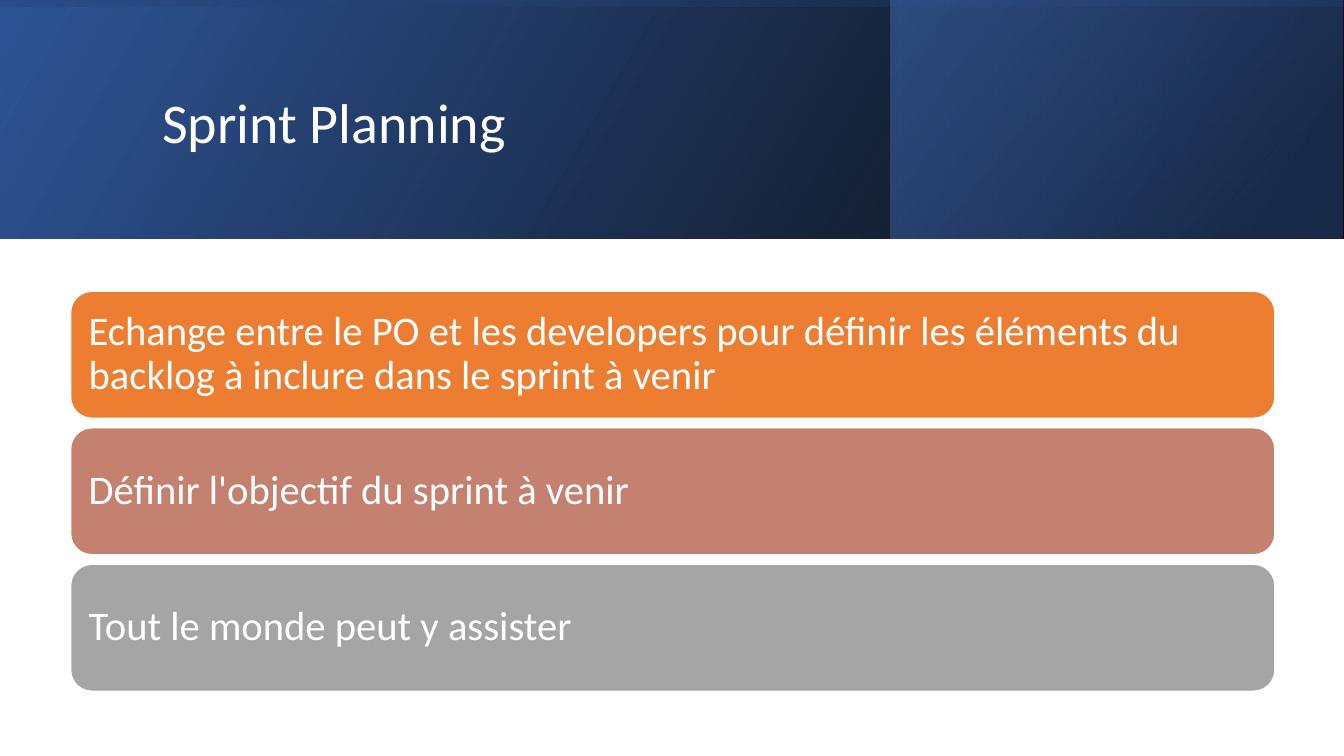
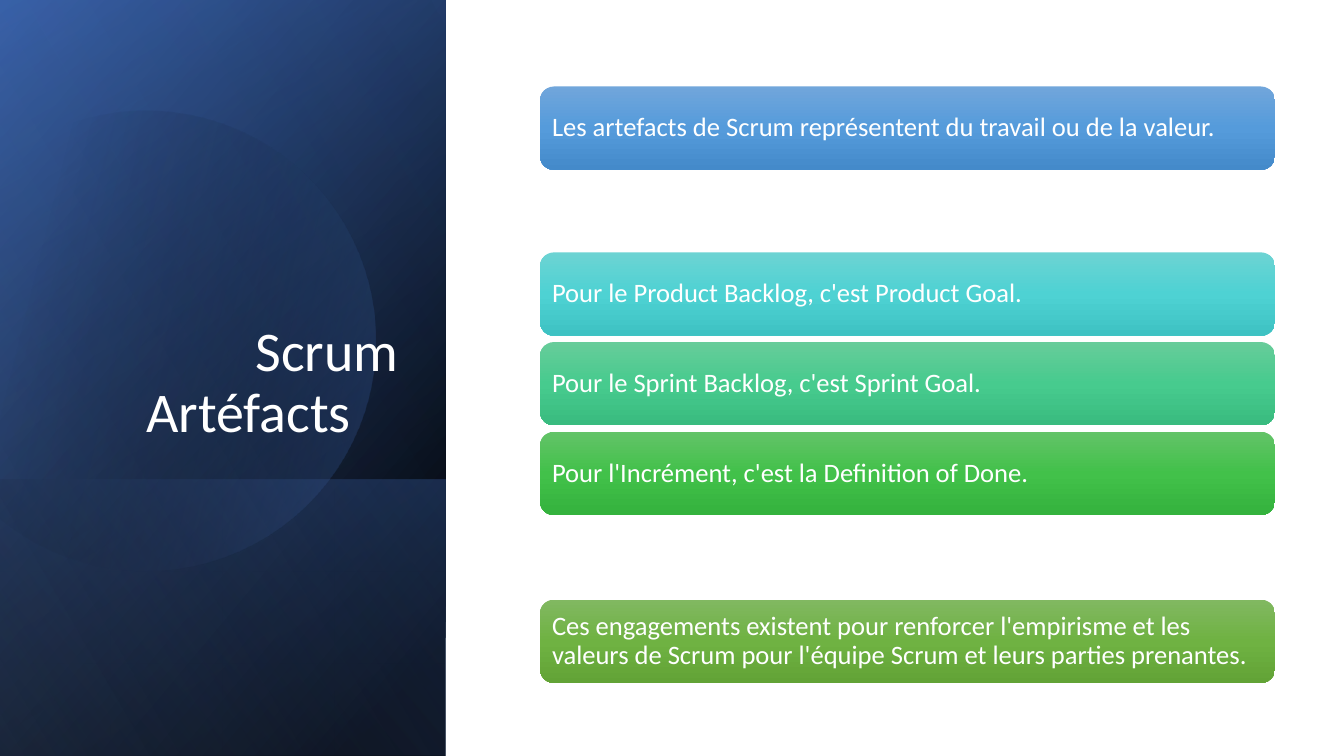
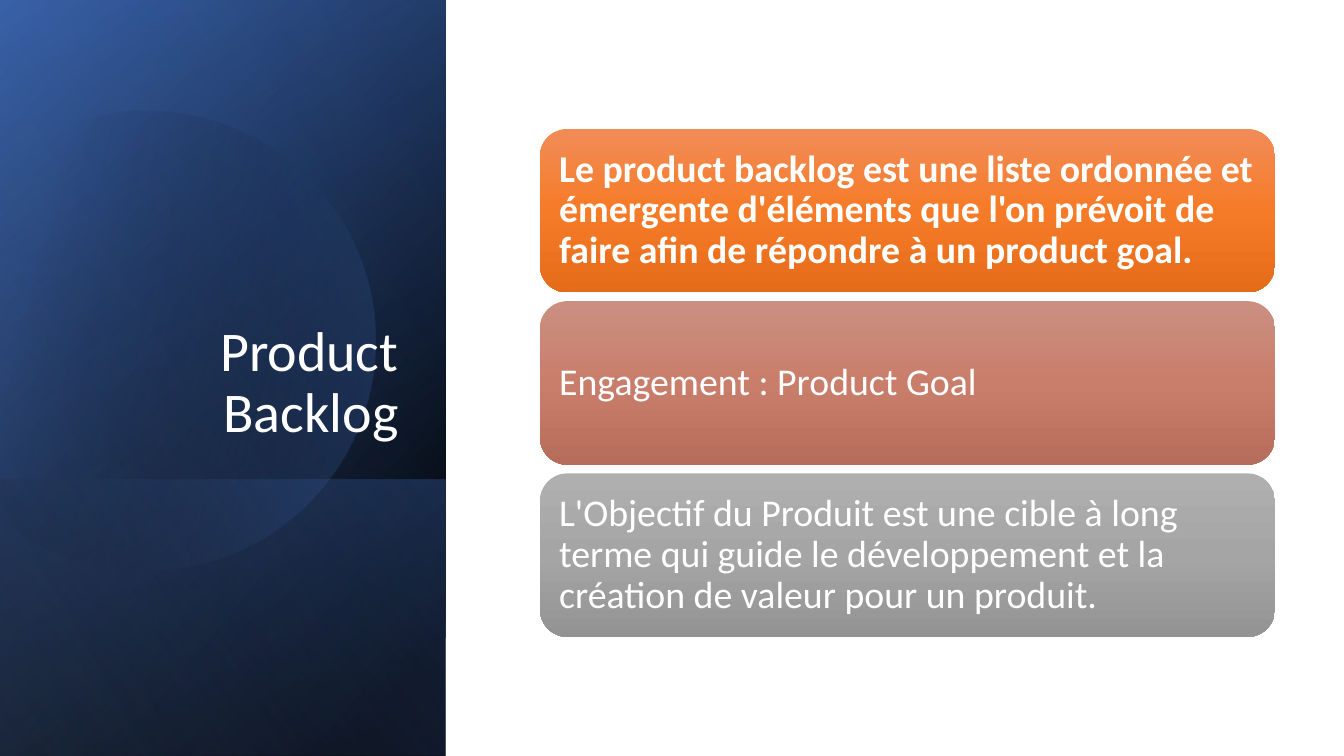
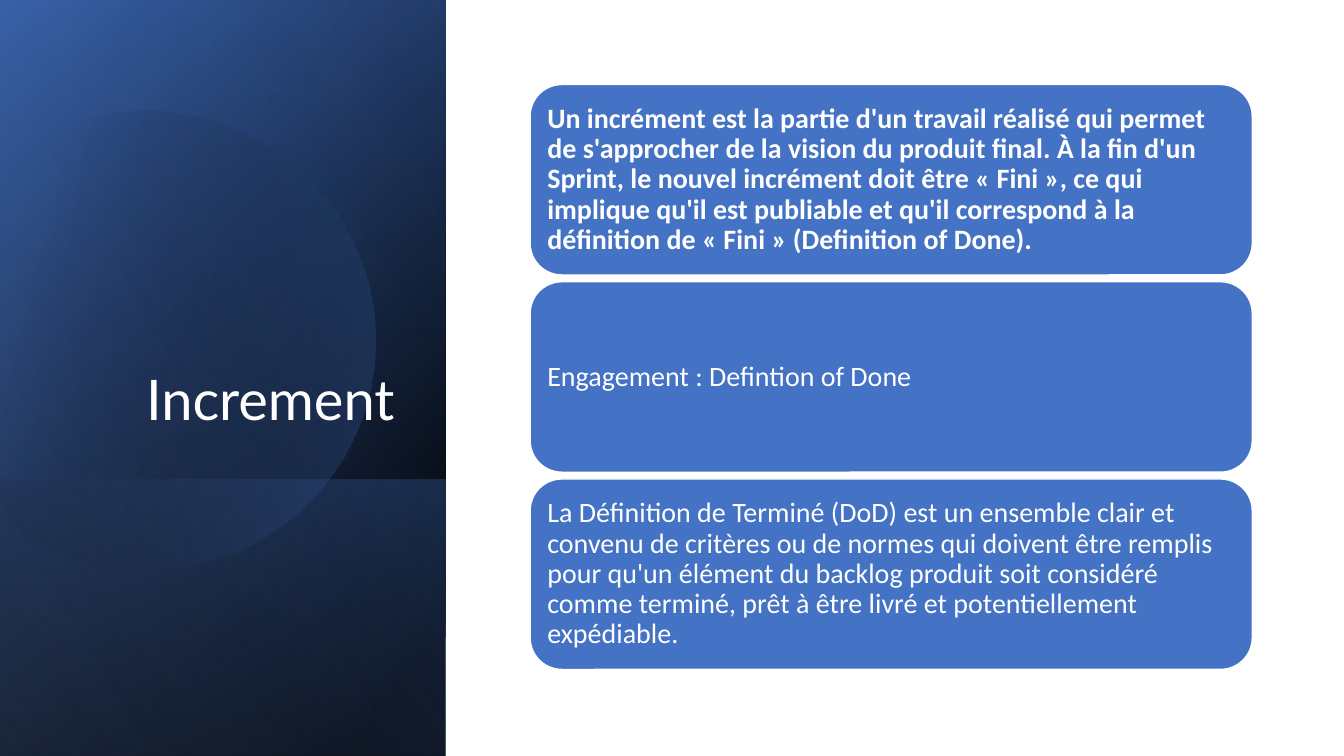
import math

from lxml import etree
from pptx import Presentation
from pptx.dml.color import RGBColor
from pptx.enum import shapes, text
from pptx.oxml import ns
from pptx.util import Cm, Pt

WHITE, BLACK = "FFFFFF", "000000"
NAVY, DEEP, BLUE, PALE = "203864", "2F5597", "4472C4", "8FAADC"
ORANGE, CLAY, GREY = "ED7D31", "C48170", "A5A5A5"
WIDTH, HEIGHT = 33.87, 19.05
HEADER_HEIGHT, PANEL_WIDTH, FOOT_HEIGHT = 6.02, 11.23, 6.96


def paint(shape, fill, angle=90, outline=None):
    """Fill with one hex colour, or with (position, hex, opacity) stops; angle runs clockwise."""
    shape.shadow.inherit = False
    if isinstance(fill, str):
        shape.fill.solid()
        shape.fill.fore_color.rgb = RGBColor.from_string(fill)
    else:
        shape.fill.gradient()
        shape.fill.gradient_angle = 360 - angle
        stops = next(shape.element.iter(ns.qn("a:gsLst")))
        stops.clear()
        for position, colour, opacity in fill:
            stop = etree.SubElement(stops, ns.qn("a:gs"), pos=str(position * 1000))
            tint = etree.SubElement(stop, ns.qn("a:srgbClr"), val=colour)
            if opacity < 100:
                etree.SubElement(tint, ns.qn("a:alpha"), val=str(opacity * 1000))
    if outline:
        shape.line.color.rgb = RGBColor.from_string(outline)
        shape.line.width = Pt(1)
    else:
        shape.line.fill.background()


def write(box, words, size=40, font="Calibri", bold=False, inset=None,
          align=text.PP_ALIGN.LEFT, anchor=text.MSO_ANCHOR.MIDDLE):
    frame = box.text_frame
    frame.word_wrap = True
    frame.vertical_anchor = anchor
    if inset is not None:
        frame.margin_left = frame.margin_right = Cm(inset)
        frame.margin_top = frame.margin_bottom = Cm(inset)
    para = frame.paragraphs[0]
    para.alignment = align
    para.line_spacing = 0.9
    span = para.add_run()
    span.text = words
    span.font.size = Pt(size)
    span.font.name = font
    span.font.bold = bold
    span.font.color.rgb = RGBColor.from_string(WHITE)


# Bands: centre x, centre y, width and height before turning, turn, gradient angle, stops
header = [
    (WIDTH / 2, HEADER_HEIGHT / 2, WIDTH, HEADER_HEIGHT, 0, 330,
     [(0, BLACK, 96), (100, DEEP, 100)]),
    (28.14, HEADER_HEIGHT / 2, 11.38, HEADER_HEIGHT, 0, 320,
     [(19, NAVY, 68), (100, BLUE, 48)]),
    (WIDTH / 2, HEADER_HEIGHT / 2, HEADER_HEIGHT, WIDTH, 270, 350,
     [(23, DEEP, 16), (99, BLACK, 45)]),
]
middle = (PANEL_WIDTH / 2, HEIGHT / 2, HEIGHT, PANEL_WIDTH, 90)
under_disc = [
    (*middle, 50, [(8, BLACK, 100), (100, DEEP, 100)]),
    (*middle, 30, [(0, BLACK, 0), (99, BLUE, 46)]),
    (PANEL_WIDTH / 2, HEIGHT - FOOT_HEIGHT / 2, FOOT_HEIGHT, PANEL_WIDTH, 90, 130,
     [(2, BLUE, 29), (100, BLACK, 30)]),
]
over_disc = [(*middle, 120, [(0, BLACK, 0), (99, PALE, 11)])]

# Disc cut by a chord at its left
DISC_X, DISC_Y, DISC_RADIUS, DISC_TURN = 3.65, 8.48, 5.8, -16.1
rim = [(Cm(DISC_X + DISC_RADIUS * math.cos(math.radians(degree))),
        Cm(DISC_Y + DISC_RADIUS * math.sin(math.radians(degree))))
       for degree in range(242, 511, 4)]

side_title = dict(box=(1.63, 4.67, 8.66, 6.65), align=text.PP_ALIGN.RIGHT,
                  anchor=text.MSO_ANCHOR.BOTTOM)
pages = [
    dict(
        title="Sprint Planning", title_style=dict(box=(3.84, 0.97, 27, 4.37)),
        bands=[header],
        left=1.78, width=30.35, height=3.2, tops=[7.34 + 3.44 * row for row in range(3)],
        size=29, inset=0.3, outline=WHITE, bold_first=False,
        cards=[
            ("Echange entre le PO et les developers pour définir les éléments du backlog "
             "à inclure dans le sprint à venir", ORANGE),
            ("Définir l'objectif du sprint à venir", CLAY),
            ("Tout le monde peut y assister", GREY),
        ]),
    dict(
        title="Scrum Artéfacts\t", title_style=side_title,
        bands=[under_disc, over_disc],
        left=13.61, width=18.52, height=2.1, tops=[2.18, 6.36, 8.62, 10.88, 15.11],
        size=19, inset=0.2, outline=None, bold_first=False,
        cards=[
            ("Les artefacts de Scrum représentent du travail ou de la valeur.",
             ("71A6DB", "559BDB", "448ACA")),
            ("Pour le Product Backlog, c'est Product Goal.", ("6CD3D3", "4ED2D3", "3EC2C3")),
            ("Pour le Sprint Backlog, c'est Sprint Goal.", ("67CC9A", "47CB8E", "39BB7F")),
            ("Pour l'Incrément, c'est la Definition of Done.", ("63C368", "42C14A", "34B23D")),
            ("Ces engagements existent pour renforcer l'empirisme et les valeurs de Scrum "
             "pour l'équipe Scrum et leurs parties prenantes.", ("81B861", "6FB242", "62A336")),
        ]),
    dict(
        title="Product Backlog", title_style=side_title,
        bands=[under_disc, over_disc],
        left=13.61, width=18.52, height=4.12, tops=[3.25 + 4.34 * row for row in range(3)],
        size=27, inset=0.28, outline=None, bold_first=True,
        cards=[
            ("Le product backlog est une liste ordonnée et émergente d'éléments que l'on "
             "prévoit de faire afin de répondre à un product goal.",
             ("F18C57", "F67B28", "E56C19")),
            ("Engagement : Product Goal", ("CB8F81", "C97E6B", "B76D5B")),
            ("L'Objectif du Produit est une cible à long terme qui guide le développement "
             "et la création de valeur pour un produit.", ("AFAFAF", "A5A5A5", "939393")),
        ]),
    dict(
        title="Increment",
        title_style=dict(side_title, box=(1.3, 1.63, 8.89, 9.4), font="Lato"),
        bands=[under_disc, over_disc],
        left=13.36, width=18.2, height=4.8, tops=[2.13 + 4.97 * row for row in range(3)],
        size=20, inset=0.2, outline=WHITE, bold_first=True,
        cards=[
            ("Un incrément est la partie d'un travail réalisé qui permet de s'approcher de la "
             "vision du produit final. À la fin d'un Sprint, le nouvel incrément doit être "
             "« Fini », ce qui implique qu'il est publiable et qu'il correspond à la définition "
             "de « Fini » (Definition of Done).", BLUE),
            ("Engagement : Defintion of Done", BLUE),
            ("La Définition de Terminé (DoD) est un ensemble clair et convenu de critères ou de "
             "normes qui doivent être remplis pour qu'un élément du backlog produit soit "
             "considéré comme terminé, prêt à être livré et potentiellement expédiable.", BLUE),
        ]),
]

deck = Presentation()
deck.slide_width, deck.slide_height = Cm(WIDTH), Cm(HEIGHT)

for content in pages:
    page = deck.slides.add_slide(deck.slide_layouts[6])

    for layer, bands in enumerate(content["bands"]):
        if layer == 1:
            builder = page.shapes.build_freeform(*rim[0])
            builder.add_line_segments(rim[1:], close=True)
            disc = builder.convert_to_shape()
            disc.rotation = DISC_TURN
            paint(disc, [(29, BLACK, 0), (100, BLUE, 43)], angle=30)
        for x, y, width, height, turn, angle, stops in bands:
            band = page.shapes.add_shape(
                shapes.MSO_SHAPE.RECTANGLE,
                Cm(x - width / 2), Cm(y - height / 2), Cm(width), Cm(height))
            band.rotation = turn
            band.element.spPr.find(ns.qn("a:xfrm")).set("flipH", "1")
            paint(band, stops, angle=angle)

    style = dict(content["title_style"])
    title = page.shapes.add_textbox(*map(Cm, style.pop("box")))
    write(title, content["title"], **style)

    for row, (top, (words, fill)) in enumerate(zip(content["tops"], content["cards"])):
        card = page.shapes.add_shape(
            shapes.MSO_SHAPE.ROUNDED_RECTANGLE,
            Cm(content["left"]), Cm(top), Cm(content["width"]), Cm(content["height"]))
        if not isinstance(fill, str):
            fill = [(50 * step, colour, 100) for step, colour in enumerate(fill)]
        paint(card, fill, outline=content["outline"])
        write(card, words, size=content["size"], inset=content["inset"],
              bold=content["bold_first"] and row == 0)

deck.save("out.pptx")
